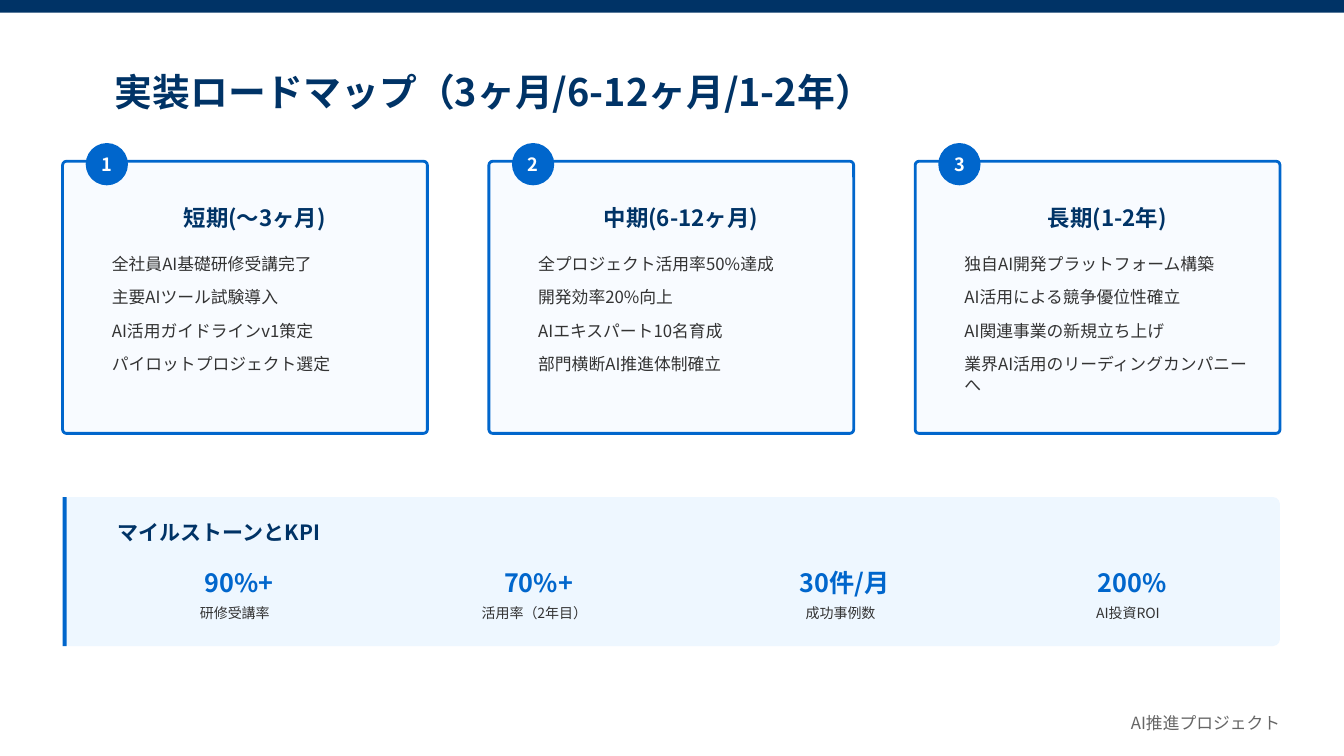
import pptx
import pptx.dml.color
import pptx.enum.shapes
import pptx.enum.text
import pptx.util

Pt = pptx.util.Pt
RGBColor = pptx.dml.color.RGBColor
Shape = pptx.enum.shapes.MSO_SHAPE
Align = pptx.enum.text.PP_ALIGN
Anchor = pptx.enum.text.MSO_ANCHOR

NAVY = RGBColor(0x00, 0x33, 0x66)
BLUE = RGBColor(0x00, 0x66, 0xCC)
CARD_FILL = RGBColor(0xF8, 0xFB, 0xFF)
PANEL_FILL = RGBColor(0xEE, 0xF7, 0xFF)
WHITE = RGBColor(0xFF, 0xFF, 0xFF)
TEXT = RGBColor(0x33, 0x33, 0x33)
GREY = RGBColor(0x66, 0x66, 0x66)
FONT = "Noto Sans CJK JP"

PAGE_WIDTH, PAGE_HEIGHT = 960, 540
MARGIN = 44.7
CARD_WIDTH, CARD_PITCH = 260.6, 304.5

# Heading, width of the heading, goals
PHASES = [
    ("短期(〜3ヶ月)", 117.4,
     ["全社員AI基礎研修受講完了", "主要AIツール試験導入",
      "AI活用ガイドラインv1策定", "パイロットプロジェクト選定"]),
    ("中期(6-12ヶ月)", 126.7,
     ["全プロジェクト活用率50%達成", "開発効率20%向上",
      "AIエキスパート10名育成", "部門横断AI推進体制確立"]),
    ("長期(1-2年)", 100,
     ["独自AI開発プラットフォーム構築", "AI活用による競争優位性確立",
      "AI関連事業の新規立ち上げ", "業界AI活用のリーディングカンパニーへ"]),
]
# Value, label, centre measured from the left of the panel
KPIS = [
    ("90%+", "研修受講率", 126),
    ("70%+", "活用率（2年目）", 340),
    ("30件/月", "成功事例数", 558.7),
    ("200%", "AI投資ROI", 764),
]


def fill_text(shape, lines, size, color, bold=False, align=Align.LEFT, anchor=Anchor.MIDDLE):
    frame = shape.text_frame
    frame.word_wrap = True
    frame.vertical_anchor = anchor
    frame.margin_left = frame.margin_top = frame.margin_right = frame.margin_bottom = 0
    frame.text = "\n".join(lines)
    for para in frame.paragraphs:
        para.alignment = align
        para.font.name = FONT
        para.font.size = Pt(size)
        para.font.bold = bold
        para.font.color.rgb = color
    return frame


def add_text(page, left, top, width, height, lines, size, color, **style):
    box = page.shapes.add_textbox(Pt(left), Pt(top), Pt(width), Pt(height))
    return fill_text(box, lines, size, color, **style)


def add_block(page, kind, left, top, width, height, fill, line=None, corner=None):
    block = page.shapes.add_shape(kind, Pt(left), Pt(top), Pt(width), Pt(height))
    block.shadow.inherit = False
    block.fill.solid()
    block.fill.fore_color.rgb = fill
    if line is None:
        block.line.fill.background()
    else:
        block.line.color.rgb = line
        block.line.width = Pt(2)
    if corner is not None:
        block.adjustments[0] = corner
    return block


def add_header(page, left, top, width):
    add_block(page, Shape.RECTANGLE, left, top, width, 9, NAVY)
    add_text(page, left + 82, top + 46, 561.6, 39,
             ["実装ロードマップ（3ヶ月/6-12ヶ月/1-2年）"], 27, NAVY, bold=True)


def add_phase_card(page, left, top, width, height, number, phase):
    heading, heading_width, goals = phase
    add_block(page, Shape.ROUNDED_RECTANGLE, left, top, width, height,
              CARD_FILL, line=BLUE, corner=0.014)
    badge = add_block(page, Shape.OVAL, left + 16.5, top - 13, 30.2, 30.2, BLUE)
    fill_text(badge, [str(number)], 13, WHITE, bold=True, align=Align.CENTER)
    add_text(page, left + 137.2 - heading_width / 2, top + 28, heading_width, 24,
             [heading], 16, NAVY, bold=True, align=Align.CENTER)
    goal_list = add_text(page, left + 35.2, top + 65.8, 212, 100, goals, 12, TEXT,
                         anchor=Anchor.TOP)
    for index, para in enumerate(goal_list.paragraphs):
        para.line_spacing = Pt(14.4)
        para.space_before = Pt(9.6 if index else 0)


def add_kpi_panel(page, left, top, width, height):
    add_block(page, Shape.ROUNDED_RECTANGLE, left, top, width, height,
              PANEL_FILL, corner=0.048)
    add_block(page, Shape.RECTANGLE, left, top, 3, height, BLUE)
    add_text(page, left + 39.5, top + 14.5, 156, 21.6,
             ["マイルストーンとKPI"], 15, NAVY, bold=True)
    for value, label, centre in KPIS:
        middle = left + centre
        add_text(page, middle - 50, top + 48.2, 100, 26, [value], 18, BLUE,
                 bold=True, align=Align.CENTER)
        add_text(page, middle - 53, top + 75.5, 100, 15, [label], 10, TEXT,
                 align=Align.CENTER)


def add_footer(page, left, top, width, height):
    add_text(page, left, top, width, height, ["AI推進プロジェクト"], 12, GREY)


def main():
    deck = pptx.Presentation()
    deck.slide_width, deck.slide_height = Pt(PAGE_WIDTH), Pt(PAGE_HEIGHT)
    page = deck.slides.add_slide(deck.slide_layouts[6])
    add_header(page, 0, 0, PAGE_WIDTH)
    for index, phase in enumerate(PHASES):
        add_phase_card(page, MARGIN + index * CARD_PITCH, 115.2, CARD_WIDTH, 194.4,
                       index + 1, phase)
    add_kpi_panel(page, MARGIN, 355, 2 * CARD_PITCH + CARD_WIDTH, 106.5)
    add_footer(page, 807.8, 507, 116, 18)
    deck.save("out.pptx")


if __name__ == "__main__":
    main()
